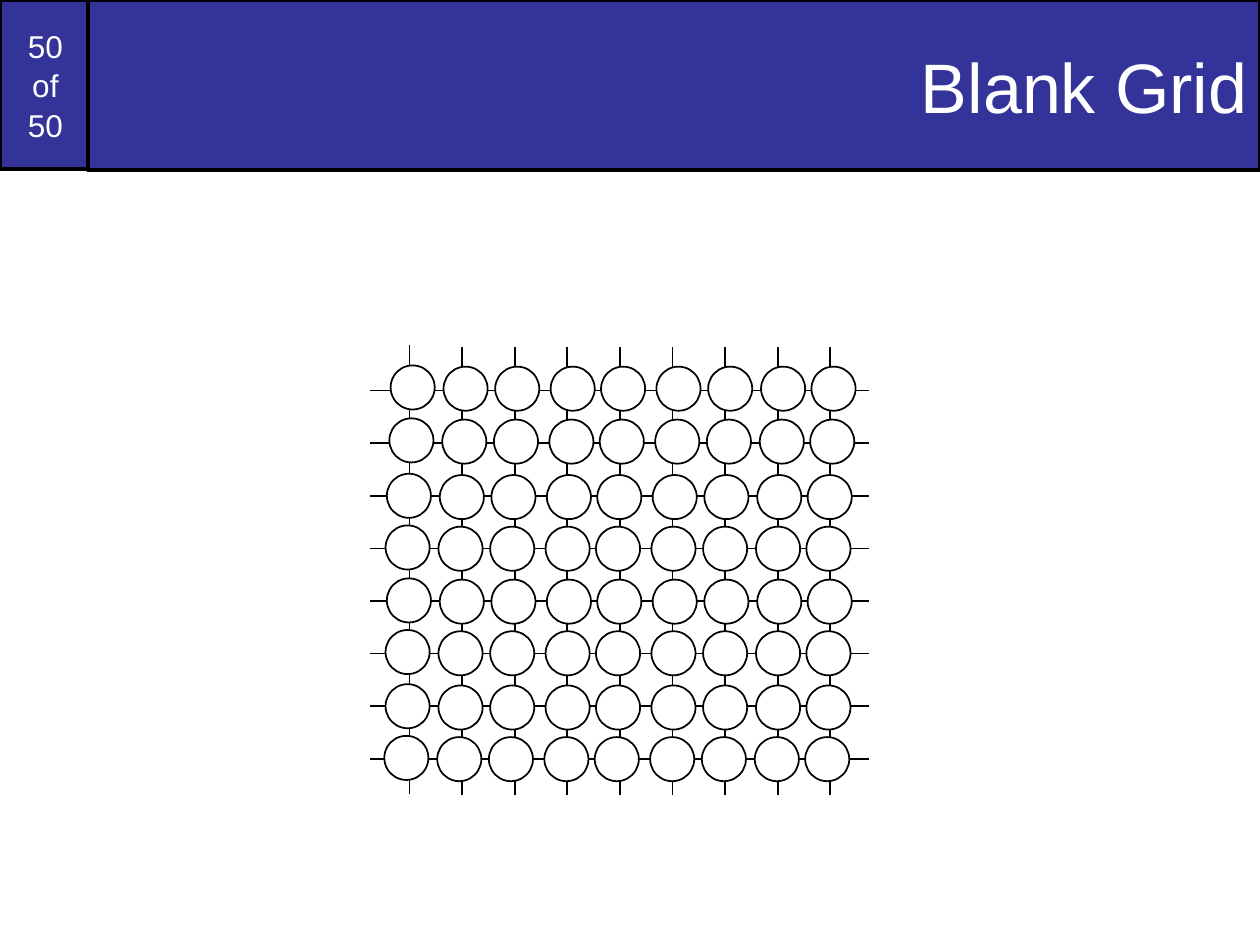
import dataclasses

import lxml.etree
import pptx
import pptx.dml.color
import pptx.enum.shapes
import pptx.enum.text
import pptx.oxml.ns
import pptx.util

Inches = pptx.util.Inches
Align = pptx.enum.text.PP_ALIGN


@dataclasses.dataclass(frozen=True)
class Theme:
    font: str = "Arial"
    banner: str = "333399"
    ink: str = "000000"
    paper: str = "FFFFFF"
    title_size: int = 40
    counter_size: int = 18
    banner_line: float = 2
    grid_line: float = 1


def color(code):
    return pptx.dml.color.RGBColor.from_string(code)


def write_text(frame, text, *, font, size, ink, align, spacing=1.0):
    frame.word_wrap = True
    frame.auto_size = pptx.enum.text.MSO_AUTO_SIZE.NONE
    frame.vertical_anchor = pptx.enum.text.MSO_ANCHOR.MIDDLE
    paragraph = frame.paragraphs[0]
    paragraph.text = text
    paragraph.alignment = align
    paragraph.line_spacing = spacing
    paragraph.space_before = pptx.util.Pt(0)
    for run in paragraph.runs:
        run.font.name = font
        run.font.size = pptx.util.Pt(size)
        run.font.color.rgb = color(ink)


class GridSlide:
    """Draws the banner and grid parts of one slide in a shared theme."""

    def __init__(self, slide, theme):
        self.slide = slide
        self.theme = theme

    def paint(self, part, fill, line_width):
        part.fill.solid()
        part.fill.fore_color.rgb = color(fill)
        part.line.color.rgb = color(self.theme.ink)
        part.line.width = pptx.util.Pt(line_width)

    def shape(self, kind, left, top, width, height, fill, line_width):
        part = self.slide.shapes.add_shape(
            kind, Inches(left), Inches(top), Inches(width), Inches(height))
        part.shadow.inherit = False
        self.paint(part, fill, line_width)
        return part

    def counter(self, text, left, top, width, height):
        theme = self.theme
        box = self.shape(pptx.enum.shapes.MSO_SHAPE.RECTANGLE, left, top, width, height,
                         theme.banner, theme.banner_line)
        write_text(box.text_frame, text, font=theme.font, size=theme.counter_size,
                   ink=theme.paper, align=Align.CENTER, spacing=1.05)

    def title(self, text, left, top, width, height):
        theme = self.theme
        heading = self.slide.shapes.title
        heading.left, heading.top = Inches(left), Inches(top)
        heading.width, heading.height = Inches(width), Inches(height)
        self.paint(heading, theme.banner, theme.banner_line)
        write_text(heading.text_frame, text, font=theme.font, size=theme.title_size,
                   ink=theme.paper, align=Align.RIGHT)
        heading.element.getparent().append(heading.element)

    def line(self, x1, y1, x2, y2):
        wire = self.slide.shapes.add_connector(
            pptx.enum.shapes.MSO_CONNECTOR.STRAIGHT,
            Inches(x1), Inches(y1), Inches(x2), Inches(y2))
        wire.line.color.rgb = color(self.theme.ink)
        wire.line.width = pptx.util.Pt(self.theme.grid_line)
        lxml.etree.SubElement(wire.element.spPr, pptx.oxml.ns.qn("a:effectLst"))

    def node(self, left, top, diameter):
        self.shape(pptx.enum.shapes.MSO_SHAPE.OVAL, left, top, diameter, diameter,
                   self.theme.paper, self.theme.grid_line)


def main():
    deck = pptx.Presentation()
    deck.slide_width, deck.slide_height = Inches(10), Inches(7.5)
    grid = GridSlide(deck.slides.add_slide(deck.slide_layouts[5]), Theme())

    grid.counter("50\nof\n50", 0, 0, 0.72, 1.34)
    grid.title("Blank Grid", 0.7, 0, 9.3, 1.35)

    node_lefts = (3.05, 3.47, 3.88, 4.32, 4.72, 5.16, 5.57, 5.99, 6.39)
    node_rows = ((2.91, 0.05), (3.33, 0.04), (3.77, 0.02), (4.18, 0.01),
                 (4.6, 0.02), (5.01, 0.01), (5.44, 0.01), (5.85, 0))
    pitch = 3.34 / 8

    for column in range(len(node_lefts)):
        x = 3.25 + column * pitch
        rise = 0 if column else 0.01
        grid.line(x, 6.31 - rise, x, 2.75 - rise)
    for row in range(len(node_rows)):
        y = 3.1 + row * pitch
        grid.line(2.94, y, 6.9, y)
    for top, shift in node_rows:
        for column, left in enumerate(node_lefts):
            grid.node(left + shift, top if column else top - 0.01, 0.35)

    deck.save("out.pptx")


if __name__ == "__main__":
    main()
